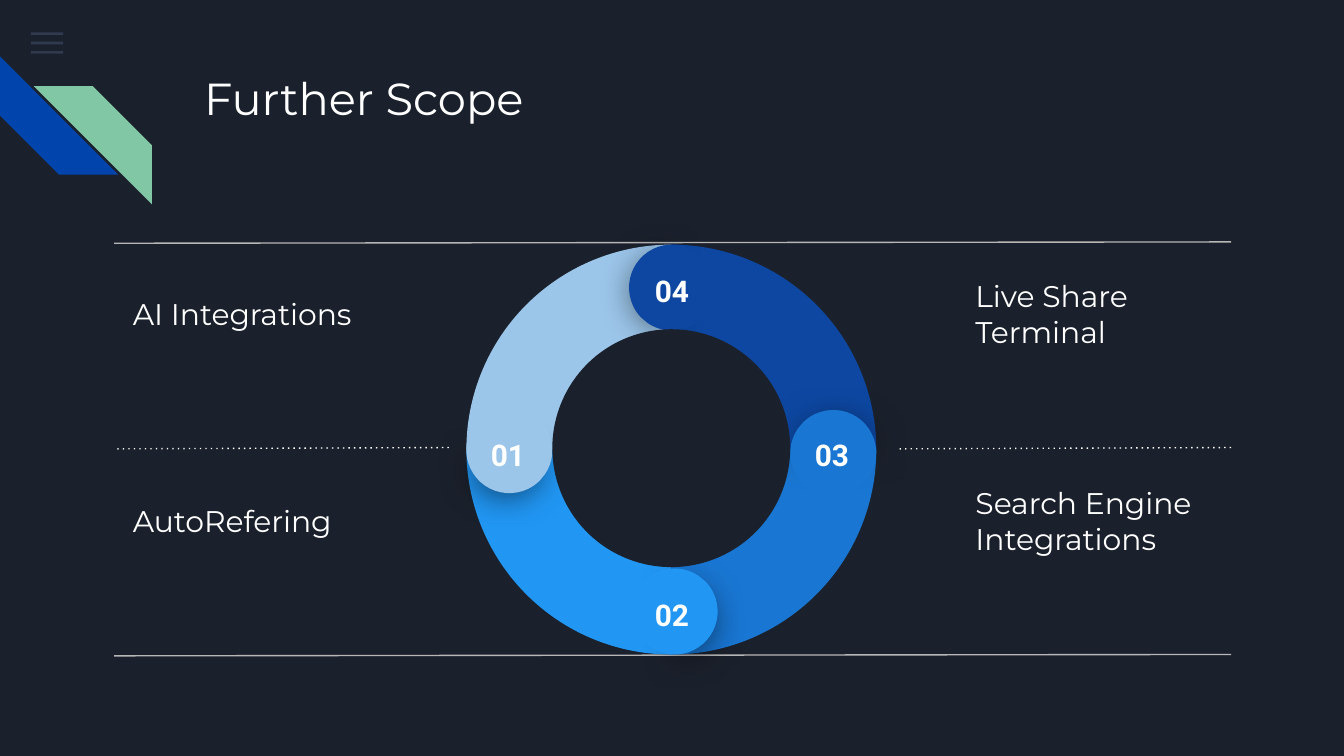
import pptx
import pptx.dml.color
import pptx.enum.dml
import pptx.enum.shapes
import pptx.enum.text
import pptx.oxml
import pptx.oxml.ns
import pptx.util

Inches = pptx.util.Inches
Pt = pptx.util.Pt
SHAPE = pptx.enum.shapes.MSO_SHAPE
ALIGN = pptx.enum.text.PP_ALIGN
ANCHOR = pptx.enum.text.MSO_ANCHOR
qn = pptx.oxml.ns.qn
RGB = pptx.dml.color.RGBColor.from_string

COLORS = {
    "background": "1B212C", "menu": "55688B", "stripe_blue": "0145AC",
    "stripe_green": "82C7A5", "white": "FFFFFF", "rule": "B7B7B7",
    "01": "9BC5E9", "02": "2196F3", "03": "1976D2", "04": "0D47A1",
}
NAMESPACE = 'xmlns:a="http://schemas.openxmlformats.org/drawingml/2006/main"'
SHADOW = (
    f'<a:effectLst {NAMESPACE}><a:outerShdw blurRad="{Pt(18)}" dist="{Pt(4)}" '
    'dir="5400000" algn="ctr" rotWithShape="0"><a:srgbClr val="000000">'
    '<a:alpha val="55000"/></a:srgbClr></a:outerShdw></a:effectLst>'
)

deck = pptx.Presentation()
deck.slide_width = Inches(10)
deck.slide_height = Inches(10 * 9 / 16)
slide = deck.slides.add_slide(deck.slide_layouts[6])
slide.background.fill.solid()
slide.background.fill.fore_color.rgb = RGB(COLORS["background"])


def add_solid(preset, left, top, width, height, color, rotation=0, adjustments=()):
    solid = slide.shapes.add_shape(
        preset, Inches(left), Inches(top), Inches(width), Inches(height))
    solid.shadow.inherit = False
    solid.fill.solid()
    solid.fill.fore_color.rgb = RGB(COLORS[color])
    solid.line.fill.background()
    solid.rotation = rotation
    for index, value in enumerate(adjustments):
        solid.adjustments[index] = value
    return solid


def add_text(text, left, top, width, height, size, font="Montserrat",
             anchor=ANCHOR.TOP, align=ALIGN.LEFT, bold=False):
    box = slide.shapes.add_textbox(
        Inches(left), Inches(top), Inches(width), Inches(height))
    frame = box.text_frame
    frame.word_wrap = True
    frame.vertical_anchor = anchor
    frame.margin_left = frame.margin_right = Inches(0.1)
    frame.margin_top = frame.margin_bottom = Inches(0.1)
    frame.text = text
    paragraph = frame.paragraphs[0]
    paragraph.alignment = align
    run_font = paragraph.runs[0].font
    run_font.name = font
    run_font.size = Pt(size)
    run_font.bold = bold
    run_font.color.rgb = RGB(COLORS["white"])


for row in range(3):
    menu_bar = add_solid(SHAPE.RECTANGLE, 0.23, 0.24 + 0.07 * row, 0.24, 0.02, "menu")
    menu_color = menu_bar.fill._xPr.find(qn("a:solidFill"))[0]
    menu_color.append(pptx.oxml.parse_xml(f'<a:alpha {NAMESPACE} val="36000"/>'))

add_solid(SHAPE.DIAGONAL_STRIPE, 0, 0.42, 0.88, 0.88, "stripe_blue", 270, [0.5])
green_stripe = add_solid(
    SHAPE.DIAGONAL_STRIPE, 0.25, 0.64, 0.88, 0.88, "stripe_green", 0, [0.5])
green_stripe._element.spPr.find(qn("a:xfrm")).set("flipH", "1")

add_text("Further Scope", 1.42, 0.43, 7.7, 1, 24)

topics = [["AI Integrations", "AutoRefering"],
          ["Live Share Terminal", "Search Engine Integrations"]]
for left, column in zip((0.89, 7.16), topics):
    for top, topic in zip((2.09, 3.63), column):
        add_text(topic, left, top, 2.03, 0.49, 16, anchor=ANCHOR.MIDDLE)

for right, left, top, color, dotted in (
    (9.16, 0.85, 1.8, "rule", False),
    (3.34, 0.85, 3.33, "white", True),
    (9.16, 6.67, 3.33, "white", True),
    (9.16, 0.85, 4.87, "rule", False),
):
    divider = slide.shapes.add_connector(
        pptx.enum.shapes.MSO_CONNECTOR.STRAIGHT,
        Inches(right), Inches(top), Inches(left), Inches(top + 0.01))
    divider.line.color.rgb = RGB(COLORS[color])
    divider.line.width = Pt(0.75)
    if dotted:
        divider.line.dash_style = pptx.enum.dml.MSO_LINE.ROUND_DOT
        next(divider._element.iter(qn("a:prstDash"))).set("val", "dot")
    divider._element.spPr.append(pptx.oxml.parse_xml(f"<a:effectLst {NAMESPACE}/>"))

for turn, step in enumerate(("01", "04", "03", "02")):
    add_solid(SHAPE.PIE, 3.47, 1.82, 3.05, 3.05, step, 90 * turn, [107.96, 162.01])

for step, turn, shaded_at, cap_at, number_at, shaded_arc in (
    ("01", 0, (3.48, 3.07), (3.47, 3.03), (3.5, 3.15), (189.54, 83.81)),
    ("02", 270, (4.74, 4.28), (4.7, 4.23), (4.72, 4.34), (189.54, 83.81)),
    ("03", 180, (5.93, 3.07), (5.88, 3.05), (5.91, 3.15), (196.87, 77.71)),
    ("04", 90, (4.7, 1.83), (4.68, 1.82), (4.72, 1.93), (189.54, 83.81)),
):
    shaded_end = add_solid(
        SHAPE.PIE, *shaded_at, 0.57, 0.57, step, turn + 39.5, shaded_arc)
    properties = shaded_end._element.spPr
    properties.replace(properties.find(qn("a:effectLst")), pptx.oxml.parse_xml(SHADOW))
    add_solid(SHAPE.CHORD, *cap_at, 0.64, 0.64, step, turn + 4.1, [25.01, 18.12])
    add_text(step, *number_at, 0.56, 0.29, 16, "Roboto", align=ALIGN.CENTER, bold=True)

add_solid(SHAPE.OVAL, 4.11, 2.45, 1.77, 1.77, "background")

deck.save("out.pptx")
